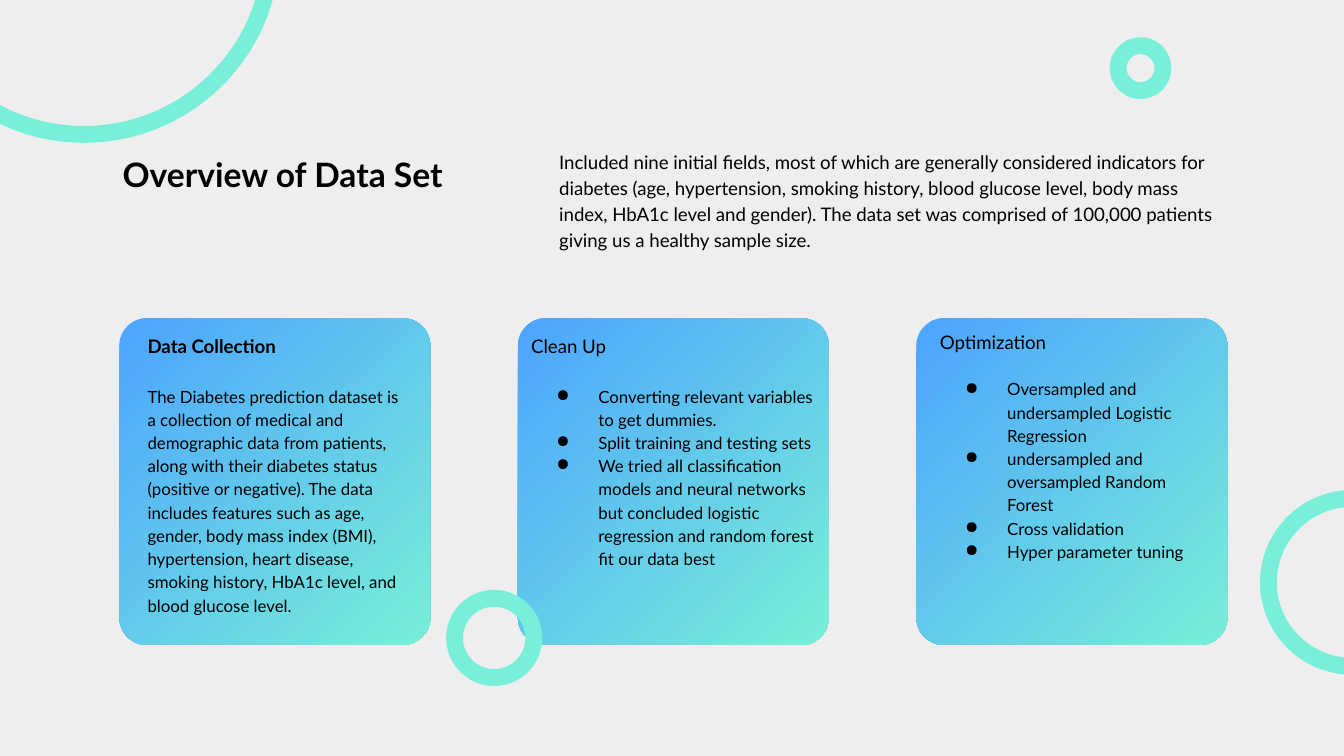
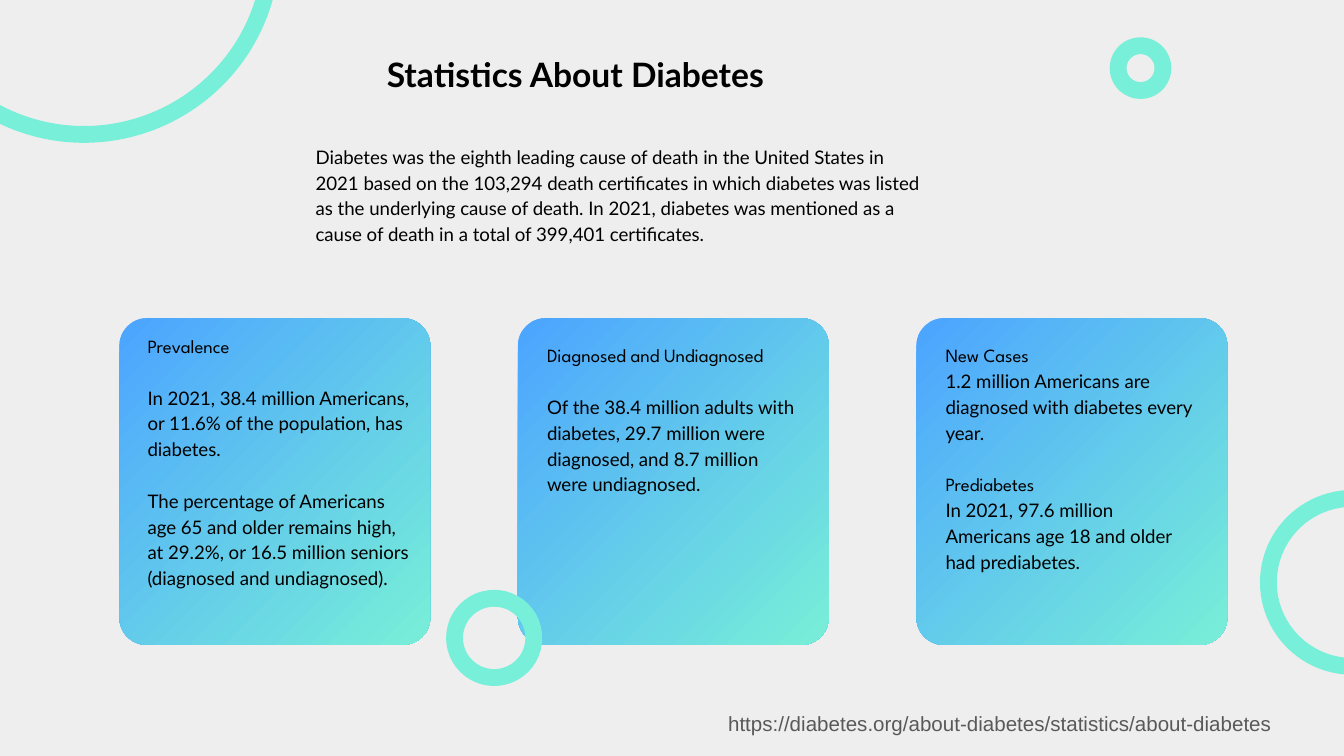
from dataclasses import dataclass

from lxml.etree import SubElement
from pptx import Presentation
from pptx.dml.color import RGBColor
from pptx.enum.shapes import MSO_SHAPE as Geo
from pptx.enum.text import MSO_ANCHOR as Anchor, MSO_AUTO_SIZE as Fit, PP_ALIGN as Align
from pptx.oxml.ns import qn
from pptx.util import Pt

# Theme
BACK = RGBColor(0xEE, 0xEE, 0xEE)
BLUE = RGBColor(0x4C, 0xA4, 0xFF)
MINT = RGBColor(0x78, 0xEF, 0xD8)
INK = RGBColor(0, 0, 0)
GRAY = RGBColor(0x59, 0x59, 0x59)
LATO, SPARTAN, ARIAL = "Lato", "League Spartan", "Arial"
INSET = 7.2
LEAD = 1.15
BLANK = 13.8  # height of one 10-point line

# Card grid
CARD_X, CARD_Y, CARD_W, CARD_H = 64, 170.5, 166.5, 175
PITCH = 213.5
ROUND = 0.088


@dataclass(frozen=True)
class Ring:
    x: float
    y: float
    size: float


@dataclass(frozen=True)
class Para:
    text: str
    size: float = 10
    face: str = LATO
    bold: bool = False
    gap: float = 0
    dot: bool = False
    color: RGBColor = INK
    lead: float = LEAD


@dataclass(frozen=True)
class Box:
    x: float
    y: float
    w: float
    h: float
    paras: tuple[Para, ...]
    fit: Fit = Fit.SHAPE_TO_FIT_TEXT


@dataclass(frozen=True)
class Page:
    title: Box
    intro: Box
    cards: tuple[Box, ...]
    source: Box | None = None


CORNER = Ring(-55.5, -129, 201)
RINGS = (Ring(679.5, 267, 90), Ring(243.5, 320.5, 42.5), Ring(599, 24.5, 24))


def title(text: str) -> tuple[Para, ...]:
    return (Para(text, 18, bold=True),)


def head(text: str, gap: float = 0) -> Para:
    return Para(text, face=SPARTAN, gap=gap)


def dots(gap: float, *items: str) -> tuple[Para, ...]:
    return tuple(Para(t, 9, dot=True, gap=0 if i else gap) for i, t in enumerate(items))


PAGES = (
    Page(
        Box(58.5, 72, 205, 36, title("Overview of Data Set")),
        Box(292.5, 72, 365, 68.5, (Para(
            "Included nine initial fields, most of which are generally considered "
            "indicators for diabetes (age, hypertension, smoking history, blood glucose "
            "level, body mass index, HbA1c level and gender). The data set was comprised "
            "of 100,000 patients giving us a healthy sample size."),)),
        (
            Box(72, 170.5, 152.5, 178.5, (
                Para("Data Collection", bold=True),
                Para("The Diabetes prediction dataset is a collection of medical and "
                     "demographic data from patients, along with their diabetes status "
                     "(positive or negative). The data includes features such as age, "
                     "gender, body mass index (BMI), hypertension, heart disease, smoking "
                     "history, HbA1c level, and blood glucose level.", 9, gap=BLANK),
            )),
            Box(277.5, 170.5, 166.5, 180, (Para("Clean Up"),) + dots(
                BLANK,
                "Converting relevant variables to get dummies.",
                "Split training and testing sets",
                "We tried all classification models and neural networks but concluded "
                "logistic regression and random forest fit our data best",
            )),
            Box(496.5, 168, 150, 165, (Para("Optimization"),) + dots(
                BLANK * 0.9,
                "Oversampled and undersampled Logistic Regression",
                "undersampled and oversampled Random Forest",
                "Cross validation",
                "Hyper parameter tuning",
            )),
        ),
    ),
    Page(
        Box(200, 18.5, 389.5, 36, title("Statistics About Diabetes")),
        Box(162, 69, 342, 82, (Para(
            "Diabetes was the eighth leading cause of death in the United States in 2021 "
            "based on the 103,294 death certificates in which diabetes was listed as the "
            "underlying cause of death. In 2021, diabetes was mentioned as a cause of "
            "death in a total of 399,401 certificates."),)),
        (
            Box(72, 170.5, 157.5, 180, (
                head("Prevalence"),
                Para("In 2021, 38.4 million Americans, or 11.6% of the population, has "
                     "diabetes.", gap=BLANK),
                Para("The percentage of Americans age 65 and older remains high, at 29.2%, "
                     "or 16.5 million seniors (diagnosed and undiagnosed).", gap=BLANK),
            )),
            Box(286, 175.5, 150, 96.5, (
                head("Diagnosed and Undiagnosed"),
                Para("Of the 38.4 million adults with diabetes, 29.7 million were "
                     "diagnosed, and 8.7 million were undiagnosed.", gap=BLANK),
            )),
            Box(499.5, 175.5, 150, 152, (
                head("New Cases"),
                Para("1.2 million Americans are diagnosed with diabetes every year."),
                head("Prediabetes", BLANK),
                Para("In 2021, 97.6 million Americans age 18 and older had prediabetes."),
            )),
        ),
        Box(383, 373.5, 368, 47, (Para(
            "https://diabetes.org/about-diabetes/statistics/about-diabetes",
            11, ARIAL, color=GRAY, lead=1),), Fit.NONE),
    ),
)


def add_dot(par) -> None:
    props = par._p.get_or_add_pPr()
    props.set("marL", str(Pt(36)))
    props.set("indent", str(Pt(-22.5)))
    tint = SubElement(props, qn("a:buClr"))
    SubElement(tint, qn("a:srgbClr")).set("val", str(INK))
    SubElement(props, qn("a:buChar")).set("char", "●")


def fill_text(shape, box: Box) -> None:
    shape.left, shape.top = Pt(box.x), Pt(box.y)
    shape.width, shape.height = Pt(box.w), Pt(box.h)
    frame = shape.text_frame
    frame.word_wrap = True
    frame.auto_size = box.fit
    frame.vertical_anchor = Anchor.TOP
    frame.margin_left = frame.margin_right = Pt(INSET)
    frame.margin_top = frame.margin_bottom = Pt(INSET)
    frame.text = "\n".join(p.text for p in box.paras)
    for par, item in zip(frame.paragraphs, box.paras):
        if item.dot:
            add_dot(par)
        par.alignment = Align.LEFT
        par.line_spacing = item.lead
        par.space_before = Pt(item.gap)
        for run in par.runs:
            font = run.font
            font.name, font.size, font.bold = item.face, Pt(item.size), item.bold
            font.color.rgb = item.color


def add_text(slide, box: Box) -> None:
    fill_text(slide.shapes.add_textbox(0, 0, Pt(box.w), Pt(box.h)), box)


def add_ring(slide, ring: Ring) -> None:
    shape = slide.shapes.add_shape(
        Geo.OVAL, Pt(ring.x), Pt(ring.y), Pt(ring.size), Pt(ring.size))
    shape.shadow.inherit = False
    shape.fill.background()
    shape.line.color.rgb = MINT
    shape.line.width = Pt(9)


def add_card(slide, col: int) -> None:
    card = slide.shapes.add_shape(
        Geo.ROUNDED_RECTANGLE, Pt(CARD_X + col * PITCH), Pt(CARD_Y),
        Pt(CARD_W), Pt(CARD_H))
    card.adjustments[0] = ROUND
    card.shadow.inherit = False
    card.line.fill.background()
    card.fill.gradient()
    card.fill.gradient_angle = 315
    for stop, color in zip(card.fill.gradient_stops, (BLUE, MINT)):
        stop.color.rgb = color


def add_page(deck, page: Page) -> None:
    slide = deck.slides.add_slide(deck.slide_layouts.get_by_name("Title Only"))
    fill_text(slide.shapes.title, page.title)
    add_ring(slide, CORNER)
    add_text(slide, page.intro)
    # Cards, then their text
    for col in range(len(page.cards)):
        add_card(slide, col)
    for box in page.cards:
        add_text(slide, box)
    # Rings in front
    for ring in RINGS:
        add_ring(slide, ring)
    if page.source:
        add_text(slide, page.source)


def main() -> None:
    deck = Presentation()
    deck.slide_width, deck.slide_height = Pt(720), Pt(405)
    back = deck.slide_master.background.fill
    back.solid()
    back.fore_color.rgb = BACK
    for page in PAGES:
        add_page(deck, page)
    deck.save("out.pptx")


if __name__ == "__main__":
    main()
